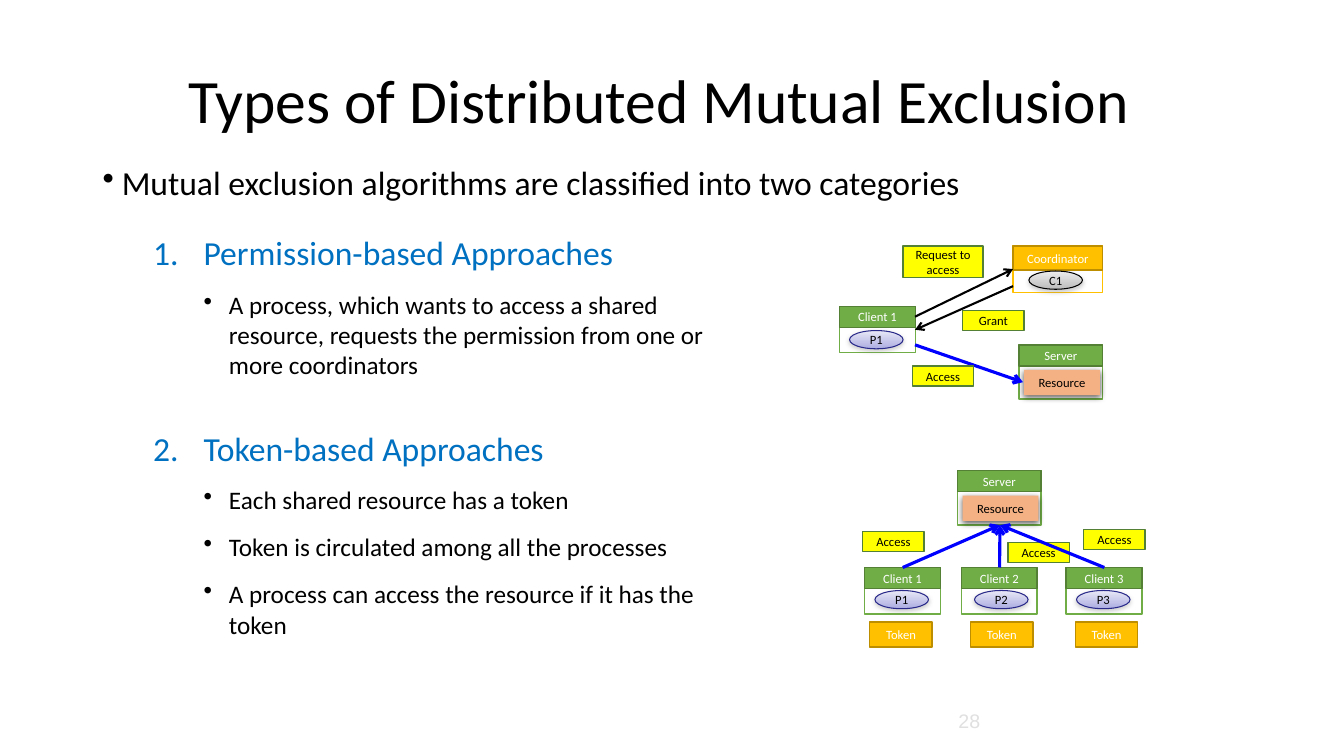
from pptx import Presentation
from pptx.dml.color import RGBColor
from pptx.enum.shapes import MSO_CONNECTOR, MSO_SHAPE
from pptx.enum.text import MSO_ANCHOR, PP_ALIGN
from pptx.oxml import parse_xml
from pptx.oxml.ns import nsdecls, qn
from pptx.util import Cm, Pt
from lxml.etree import SubElement

rgb = RGBColor.from_string
RECT, OVAL = MSO_SHAPE.RECTANGLE, MSO_SHAPE.OVAL
BLACK, WHITE, BLUE = "000000", "FFFFFF", "0000FF"
GREEN, DARK_GREEN = "70AD47", "538035"
GOLD, DARK_GOLD = "FFC000", "BD8E00"
YELLOW, PEACH = "FFFF00", "F4B183"
LILAC, GREY = ("E9E9F7", "ACACE1"), ("EDEDED", "BCBCBC")
RESOURCE_SHADOW = (BLACK, 63, 4.5, 1.5)
PROCESS_SHADOW = ("808080", 38, 3.1, 1.6)

prs = Presentation()
prs.slide_width, prs.slide_height = Cm(33.87), Cm(19.05)
slide = prs.slides.add_slide(prs.slide_layouts[6])


def box(kind, place, fill, border, label="", ink=BLACK, width=1, shadow=None):
    """Draw a labelled shape; a pair of fill colours gives a vertical gradient."""
    shape = slide.shapes.add_shape(kind, *map(Cm, place))
    if isinstance(fill, tuple):
        shape.fill.gradient()
        shape.fill.gradient_angle = 270
        for stop, shade in zip(shape.fill.gradient_stops, fill):
            stop.color.rgb = rgb(shade)
    else:
        shape.fill.solid()
        shape.fill.fore_color.rgb = rgb(fill)
    if border:
        shape.line.color.rgb = rgb(border)
        shape.line.width = Pt(width)
    else:
        shape.line.fill.background()
    shape.shadow.inherit = False
    if shadow:
        shade, alpha, blur, drop = shadow
        shape._element.spPr.find(qn("a:effectLst")).append(parse_xml(
            f'<a:outerShdw {nsdecls("a")} blurRad="{Pt(blur)}" dist="{Pt(drop)}" '
            f'dir="5400000" rotWithShape="0"><a:srgbClr val="{shade}">'
            f'<a:alpha val="{alpha * 1000}"/></a:srgbClr></a:outerShdw>'))
    if label:
        frame = shape.text_frame
        frame.word_wrap = True
        frame.vertical_anchor = MSO_ANCHOR.MIDDLE
        frame.margin_left = frame.margin_right = Cm(0.1)
        frame.margin_top = frame.margin_bottom = 0
        frame.paragraphs[0].alignment = PP_ALIGN.CENTER
        run = frame.paragraphs[0].add_run()
        run.text = label
        run.font.name, run.font.size = "Calibri", Pt(9)
        run.font.color.rgb = rgb(ink)


def arrow(start, end, colour, width):
    link = slide.shapes.add_connector(MSO_CONNECTOR.STRAIGHT, *map(Cm, start + end))
    link.line.color.rgb = rgb(colour)
    link.line.width = Pt(width)
    SubElement(link.line._get_or_add_ln(), qn("a:tailEnd"), type="arrow")
    SubElement(link._element.spPr, qn("a:effectLst"))


# Text blocks: place, anchor, then paragraphs of
# (text, font, size, colour, alignment, line spacing, before, after, indent, hang, bullet)
dot = '<a:buChar {} char="•"/>'
number = '<a:buAutoNum {} type="arabicPeriod" startAt="%d"/>'
heading = ("Calibri", 24, "0070C0", PP_ALIGN.LEFT, 1)
detail = ("Calibri", 18, BLACK, PP_ALIGN.LEFT, 1, 6, 6, 3.18, 0.64, dot)
text_blocks = [
    ((4.45, 0.76, 24.33, 3.68), MSO_ANCHOR.MIDDLE, [
        ("Types of Distributed Mutual Exclusion",
         "Calibri", 44, BLACK, PP_ALIGN.CENTER, 0.9, 0, 0, 0, 0, None)]),
    ((2.34, 4.06, 28.78, 1.47), MSO_ANCHOR.TOP, [
        ("Mutual exclusion algorithms are classified into two categories",
         "Calibri", 24, BLACK, PP_ALIGN.LEFT, 0.9, 7.5, 0, 0.48, 0.48, dot)]),
    ((2.34, 5.72, 15.88, 12.57), MSO_ANCHOR.TOP, [
        ("Permission-based Approaches", *heading, 6, 6, 2.54, 1.27, number % 1),
        ("A process, which wants to access a shared resource, requests the "
         "permission from one or more coordinators", *detail),
        ("Token-based Approaches", *heading, 28, 6, 2.54, 1.27, number % 2),
        ("Each shared resource has a token", *detail),
        ("Token is circulated among all the processes", *detail),
        ("A process can access the resource if it has the token", *detail)]),
    ((23.43, 17.66, 2, 1), MSO_ANCHOR.MIDDLE, [
        ("28", "Arial", 14, "E0E0E0", PP_ALIGN.CENTER, 1, 0, 0, 0, 0, None)]),
]
for place, anchor, paragraphs in text_blocks:
    frame = slide.shapes.add_textbox(*map(Cm, place)).text_frame
    frame.word_wrap = True
    frame.vertical_anchor = anchor
    for i, (text, font, size, colour, align, spacing, before, after,
            indent, hang, bullet) in enumerate(paragraphs):
        para = frame.add_paragraph() if i else frame.paragraphs[0]
        para.alignment, para.line_spacing = align, spacing
        para.space_before, para.space_after = Pt(before), Pt(after)
        if bullet:
            props = para._p.get_or_add_pPr()
            props.set("marL", str(Cm(indent)))
            props.set("indent", str(-Cm(hang)))
            props.append(parse_xml(bullet.format(nsdecls("a"))))
        run = para.add_run()
        run.text = text
        run.font.name, run.font.size = font, Pt(size)
        run.font.color.rgb = rgb(colour)

# Frames with a title bar: clients, servers and the coordinator
client_xs, client_y = (21.79, 24.23, 26.87), 14.3
client, server = (1.91, 1.17, 0.53, GREEN, DARK_GREEN), (2.11, 1.37, 0.53, GREEN, DARK_GREEN)
coordinator = (2.26, 1.17, 0.61, GOLD, DARK_GOLD)
nodes = [("Client 1", 21.16, 7.72, client), ("Server", 25.68, 8.69, server),
         ("Coordinator", 25.53, 6.2, coordinator), ("Server", 24.13, 11.86, server)]
nodes += [(f"Client {n}", x, client_y, client) for n, x in enumerate(client_xs, 1)]
for title, x, y, (width, height, bar, colour, edge) in nodes:
    box(RECT, (x, y, width, height), WHITE, colour)
    box(RECT, (x, y, width, bar), colour, edge, title, WHITE)
    if title == "Server":
        box(RECT, (x + 0.13, y + 0.63, 1.91, 0.64), PEACH, None, "Resource",
            shadow=RESOURCE_SHADOW)

# Processes
for name, x, y, shades, edge in [("P1", 21.41, 8.33, LILAC, "292989"),
                                 ("C1", 25.93, 6.83, GREY, BLACK),
                                 ("P1", 22.05, 14.88, LILAC, "292989"),
                                 ("P2", 24.56, 14.88, LILAC, "292989"),
                                 ("P3", 27.13, 14.88, LILAC, "292989")]:
    box(OVAL, (x, y, 1.35, 0.46), shades, edge, name, width=0.75, shadow=PROCESS_SHADOW)

# Permission-based messages
arrow((23.06, 7.98), (25.53, 6.78), BLACK, 1.5)
arrow((25.53, 7.21), (23.06, 8.31), BLACK, 1.5)
arrow((23.06, 8.69), (25.78, 9.63), BLUE, 2.25)
for message, place in [("Request to access", (22.76, 6.2, 2.01, 0.79)),
                       ("Grant", (24.26, 7.82, 1.55, 0.51)),
                       ("Access", (22.99, 9.22, 1.55, 0.51))]:
    box(RECT, place, YELLOW, DARK_GREEN, message)

# Token-based access
for x, token_x, label_x, label_y in zip(client_xs, (21.92, 24.46, 27.1),
                                        (21.74, 25.4, 27.31), (13.39, 13.67, 13.34)):
    box(RECT, (token_x, 15.67, 1.57, 0.64), GOLD, DARK_GOLD, "Token", WHITE)
    arrow((x + 0.96, client_y), (25.2, 13.23), BLUE, 2.25)
    box(RECT, (label_x, label_y, 1.55, 0.51), YELLOW, DARK_GREEN, "Access")

prs.save("out.pptx")
